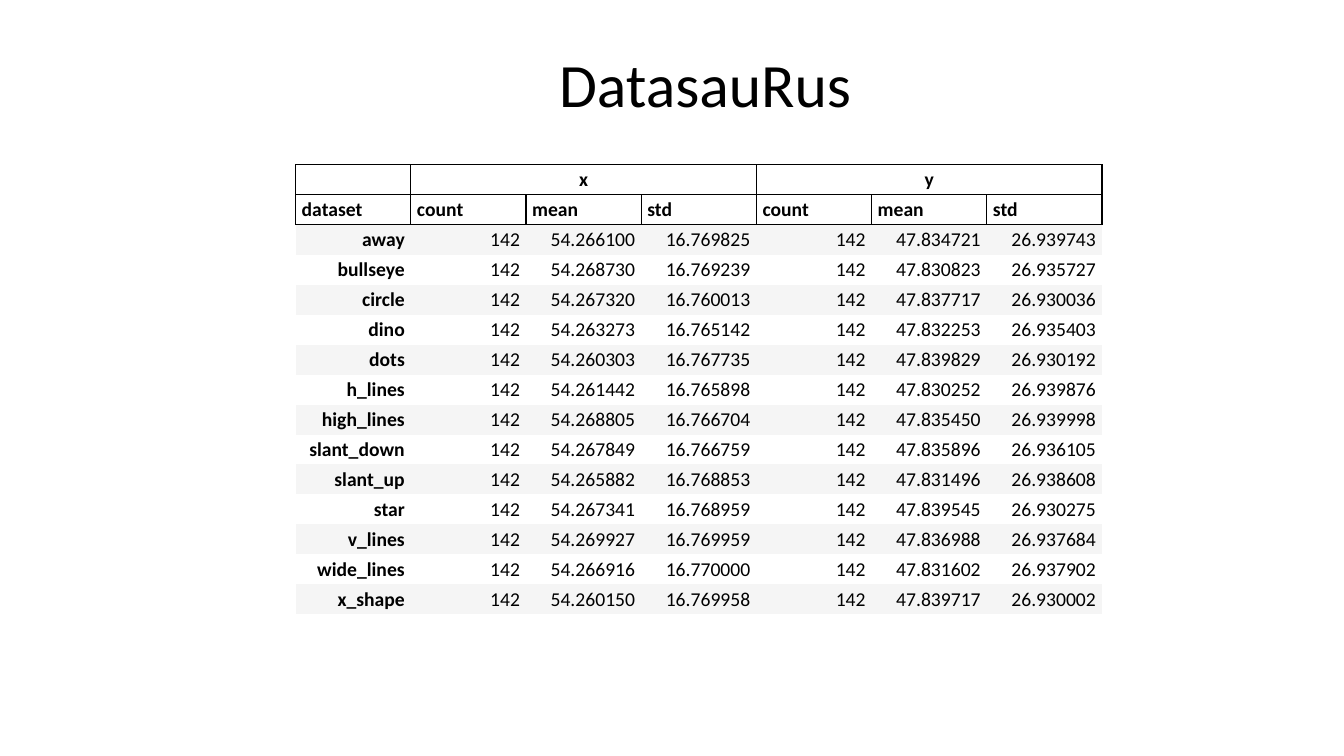
import lxml.etree
import pptx
import pptx.dml.color
import pptx.enum.text
import pptx.oxml.ns
import pptx.util

THEME = {
    "font": "Calibri",
    "ink": pptx.dml.color.RGBColor.from_string("000000"),
    "band": pptx.dml.color.RGBColor.from_string("F5F5F5"),
    "title": pptx.util.Pt(44),
    "body": pptx.util.Pt(14),
    "rule": pptx.util.Pt(1),
}
ALIGN = pptx.enum.text.PP_ALIGN
MIDDLE = pptx.enum.text.MSO_ANCHOR.MIDDLE
qn = pptx.oxml.ns.qn

# Dataset, x mean, x std, y mean, y std
COUNT = "142"
STATS = [
    ("away", "54.266100", "16.769825", "47.834721", "26.939743"),
    ("bullseye", "54.268730", "16.769239", "47.830823", "26.935727"),
    ("circle", "54.267320", "16.760013", "47.837717", "26.930036"),
    ("dino", "54.263273", "16.765142", "47.832253", "26.935403"),
    ("dots", "54.260303", "16.767735", "47.839829", "26.930192"),
    ("h_lines", "54.261442", "16.765898", "47.830252", "26.939876"),
    ("high_lines", "54.268805", "16.766704", "47.835450", "26.939998"),
    ("slant_down", "54.267849", "16.766759", "47.835896", "26.936105"),
    ("slant_up", "54.265882", "16.768853", "47.831496", "26.938608"),
    ("star", "54.267341", "16.768959", "47.839545", "26.930275"),
    ("v_lines", "54.269927", "16.769959", "47.836988", "26.937684"),
    ("wide_lines", "54.266916", "16.770000", "47.831602", "26.937902"),
    ("x_shape", "54.260150", "16.769958", "47.839717", "26.930002"),
]
MEASURES = ["count", "mean", "std"]
rows = [["", "x", "", "", "y", "", ""], ["dataset"] + MEASURES * 2]
for name, x_mean, x_std, y_mean, y_std in STATS:
    rows.append([name, COUNT, x_mean, x_std, COUNT, y_mean, y_std])


def style_text(p, size, align, bold=False):
    p.alignment = align
    for r in p.runs:
        r.font.name = THEME["font"]
        r.font.size = size
        r.font.bold = bold
        r.font.color.rgb = THEME["ink"]


def add_borders(cell):
    tcPr = cell._tc.get_or_add_tcPr()
    for i, side in enumerate(("lnL", "lnR", "lnT", "lnB")):
        ln = lxml.etree.Element(qn(f"a:{side}"), w=str(THEME["rule"]))
        fill = lxml.etree.SubElement(ln, qn("a:solidFill"))
        lxml.etree.SubElement(fill, qn("a:srgbClr"), val=str(THEME["ink"]))
        tcPr.insert(i, ln)


prs = pptx.Presentation()
prs.slide_width = pptx.util.Inches(13.33)
prs.slide_height = pptx.util.Inches(7.5)
s = prs.slides.add_slide(prs.slide_layouts[6])

# Title
sp = s.shapes.add_textbox(pptx.util.Inches(0.11), pptx.util.Inches(0.2),
                          pptx.util.Inches(13.77), pptx.util.Inches(1.25))
tf = sp.text_frame
tf.word_wrap = True
tf.vertical_anchor = MIDDLE
tf.text = "DatasauRus"
style_text(tf.paragraphs[0], THEME["title"], ALIGN.CENTER)

# Table grid
n_cols = len(rows[0])
col_w = int(prs.slide_width * 0.6 / n_cols)
row_h = int(pptx.util.Inches(4.46) / len(rows))
table = s.shapes.add_table(len(rows), n_cols, int(prs.slide_width * 0.22),
                           int(row_h * 5.5), col_w * n_cols,
                           row_h * len(rows)).table
table.first_row = False
table.horz_banding = False
# Plain table style: no borders, no fills
style_id = table._tbl.tblPr.find(qn("a:tableStyleId"))
style_id.text = "{2D5ABB26-0587-4C30-8999-92F81FD0307C}"
for col in table.columns:
    col.width = col_w
for row in table.rows:
    row.height = row_h

# Cells: two ruled header rows, then banded figures
for i, values in enumerate(rows):
    header = i < 2
    align = (ALIGN.CENTER, ALIGN.LEFT)[i] if header else ALIGN.RIGHT
    for j, value in enumerate(values):
        cell = table.cell(i, j)
        cell.margin_left = cell.margin_right = pptx.util.Inches(0.06)
        cell.margin_top = cell.margin_bottom = pptx.util.Inches(0.03)
        cell.vertical_anchor = MIDDLE
        p = cell.text_frame.paragraphs[0]
        if value:
            p.text = value
        else:
            # Keep an empty cell as low as its row
            lxml.etree.SubElement(p._p, qn("a:endParaRPr"),
                                  sz=str(int(THEME["body"].pt * 100)))
        style_text(p, THEME["body"], align, bold=header or j == 0)
        if not header and i % 2 == 0:
            cell.fill.solid()
            cell.fill.fore_color.rgb = THEME["band"]
        else:
            cell.fill.background()
        if header:
            add_borders(cell)

# Group headings span their three measures
for first in (1, 4):
    table.cell(0, first).merge(table.cell(0, first + len(MEASURES) - 1))

prs.save("out.pptx")
